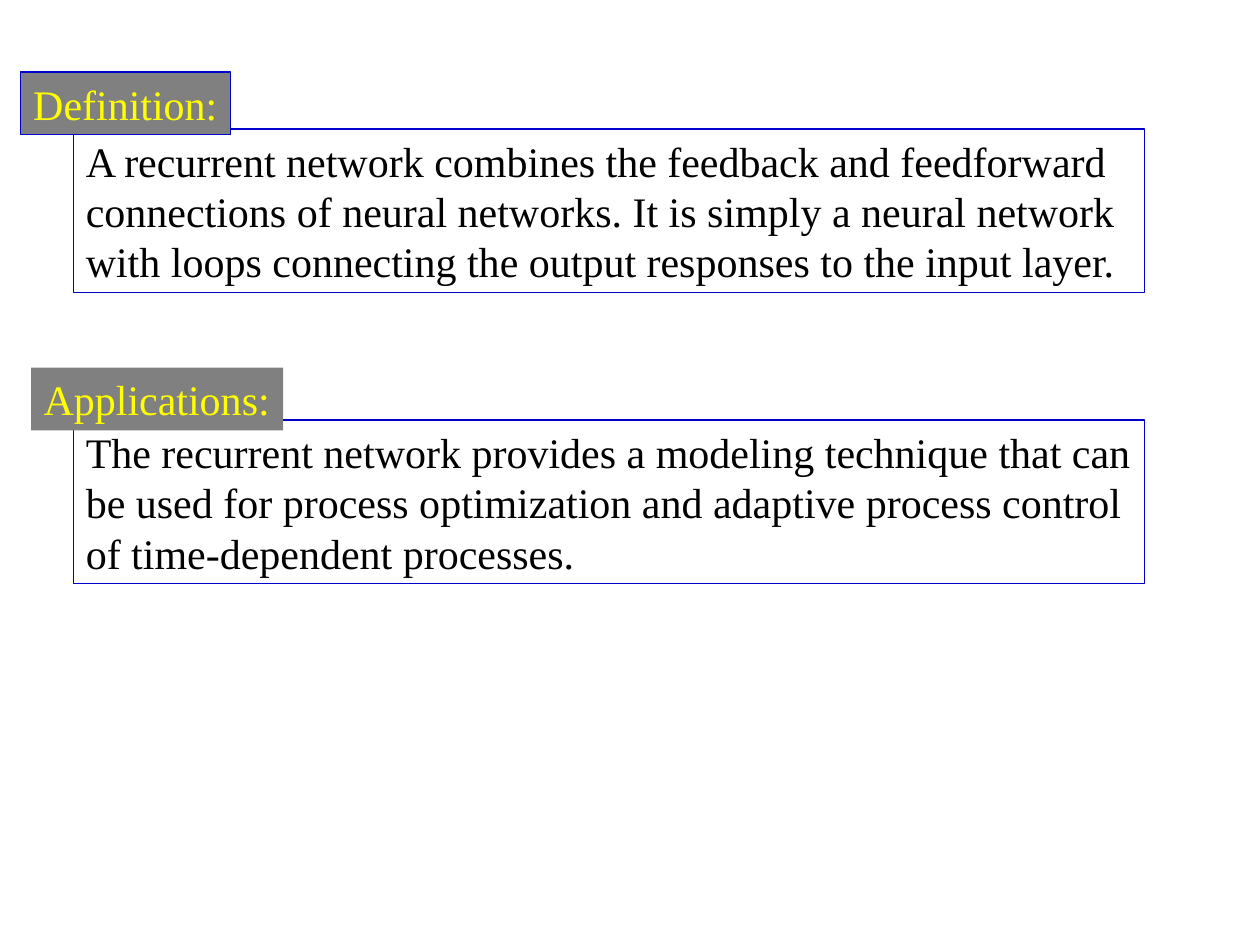
from dataclasses import dataclass

from pptx import Presentation
from pptx.dml.color import RGBColor
from pptx.enum.shapes import MSO_SHAPE
from pptx.enum.text import MSO_ANCHOR, PP_ALIGN
from pptx.util import Cm, Pt


@dataclass(frozen=True)
class Theme:
    font: str = "Times New Roman"
    size: float = 24
    leading: float = 28.8
    ink: str = "000000"
    label_ink: str = "FFFF00"
    label_fill: str = "808080"
    border: str = "0000CC"
    border_width: float = 0.75


THEME = Theme()
PANEL_LEFT, PANEL_WIDTH, PANEL_HEIGHT = 1.48, 21.59, 3.3
LABEL_HEIGHT = 1.27


def add_box(group, text, bounds, ink, fill=None, border=None):
    """Add a rectangle with left-aligned text; bounds are in centimetres."""
    box = group.shapes.add_shape(MSO_SHAPE.RECTANGLE, *map(Cm, bounds))
    box.shadow.inherit = False
    if fill:
        box.fill.solid()
        box.fill.fore_color.rgb = RGBColor.from_string(fill)
    else:
        box.fill.background()
    if border:
        box.line.color.rgb = RGBColor.from_string(border)
        box.line.width = Pt(THEME.border_width)
    else:
        box.line.fill.background()

    frame = box.text_frame
    frame.word_wrap = True
    frame.vertical_anchor = MSO_ANCHOR.TOP
    paragraph = frame.paragraphs[0]
    paragraph.alignment = PP_ALIGN.LEFT
    paragraph.line_spacing = Pt(THEME.leading)
    run = paragraph.add_run()
    run.text = text
    run.font.name = THEME.font
    run.font.size = Pt(THEME.size)
    run.font.color.rgb = RGBColor.from_string(ink)


def add_section(slide, label, label_place, label_border, text, panel_top):
    """Group a bordered text panel with the label overlapping its corner."""
    group = slide.shapes.add_group_shape()
    add_box(group, text, (PANEL_LEFT, panel_top, PANEL_WIDTH, PANEL_HEIGHT),
            THEME.ink, border=THEME.border)
    left, top, width = label_place
    add_box(group, label, (left, top, width, LABEL_HEIGHT),
            THEME.label_ink, THEME.label_fill, label_border)


def main():
    deck = Presentation()
    deck.slide_width, deck.slide_height = Cm(25.4), Cm(19.05)
    slide = deck.slides.add_slide(deck.slide_layouts[6])
    add_section(
        slide, "Definition:", (0.42, 1.45, 4.23), THEME.border,
        "A recurrent network combines the feedback and feedforward "
        "connections of neural networks. It is simply a neural network "
        "with loops connecting the output responses to the input layer.",
        panel_top=2.6)
    add_section(
        slide, "Applications:", (0.63, 7.41, 5.08), None,
        "The recurrent network provides a modeling technique that can be "
        "used for process optimization and adaptive process control of "
        "time-dependent processes.",
        panel_top=8.47)
    deck.save("out.pptx")


if __name__ == "__main__":
    main()
